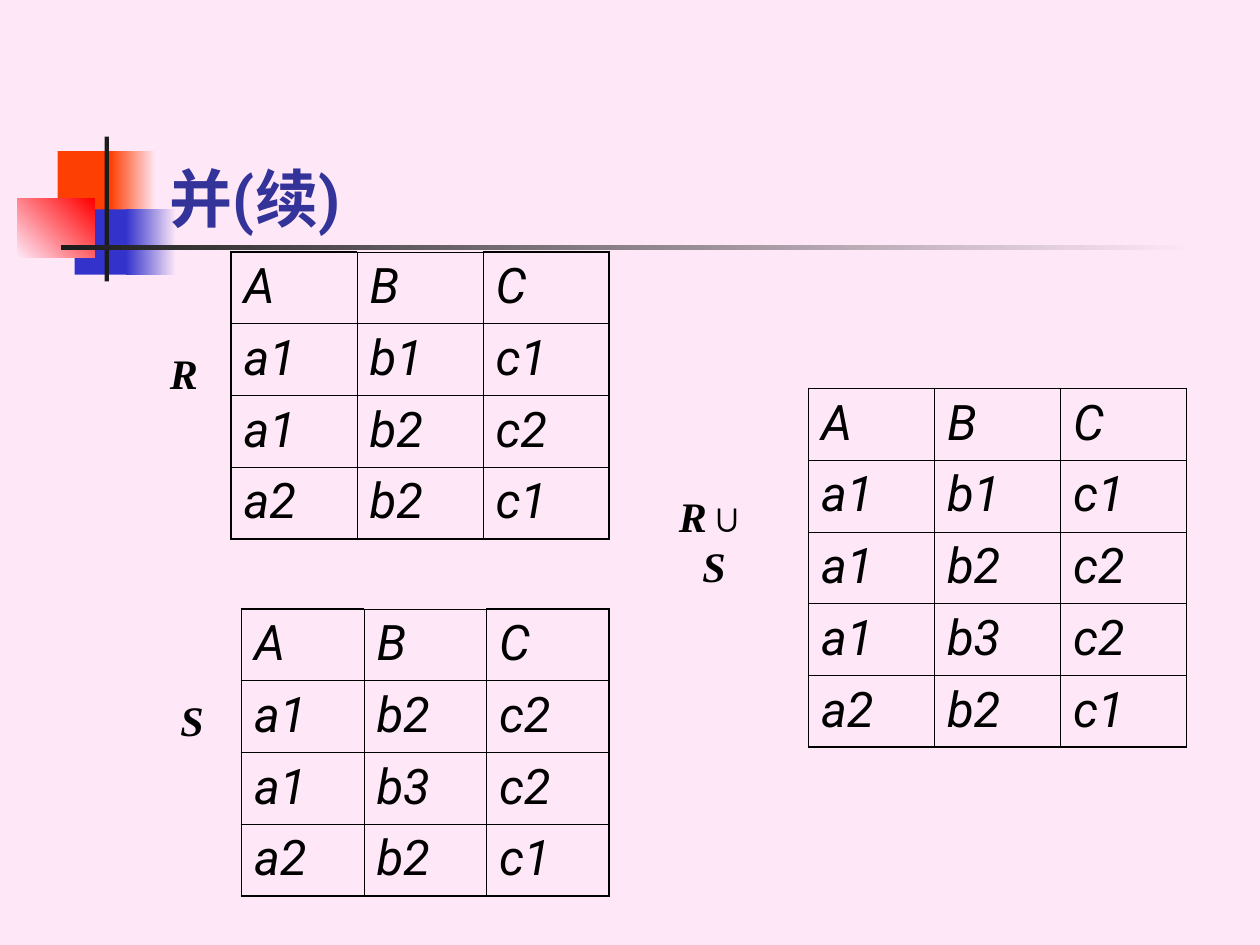
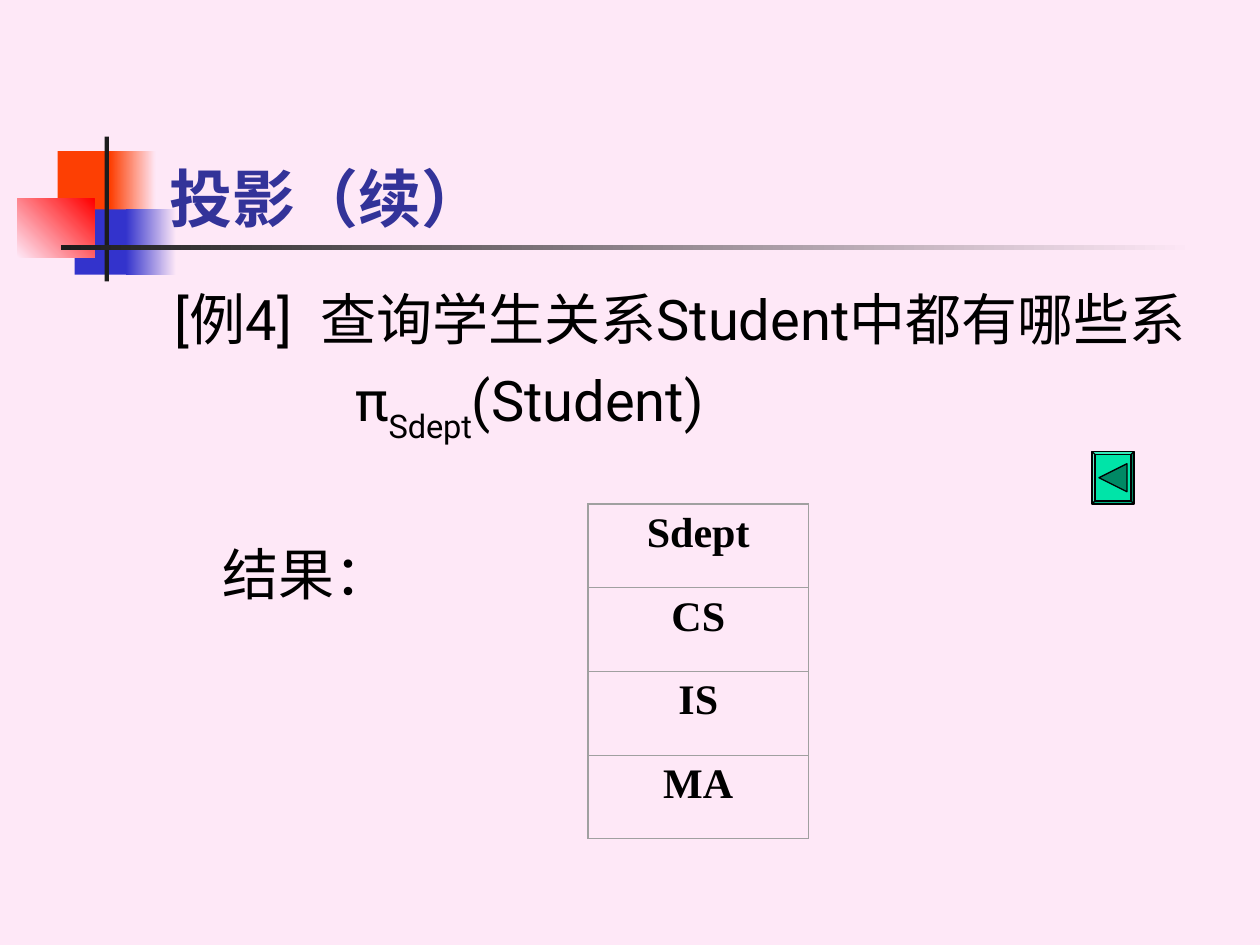
from lxml import etree
from pptx import Presentation
from pptx.dml.color import RGBColor
from pptx.enum.shapes import MSO_SHAPE
from pptx.enum.text import MSO_ANCHOR, PP_ALIGN
from pptx.oxml.ns import qn
from pptx.util import Pt

RECTANGLE = MSO_SHAPE.RECTANGLE
BEVEL = MSO_SHAPE.BEVEL
TOP, MIDDLE, BOTTOM = MSO_ANCHOR.TOP, MSO_ANCHOR.MIDDLE, MSO_ANCHOR.BOTTOM
LEFT, CENTER, JUSTIFY = PP_ALIGN.LEFT, PP_ALIGN.CENTER, PP_ALIGN.JUSTIFY

PINK = RGBColor(0xFE, 0xE8, 0xF7)
ORANGE = RGBColor(0xFD, 0x3F, 0x03)
BLUE = RGBColor(0x33, 0x33, 0xCC)
RED = RGBColor(0xFF, 0x00, 0x00)
CHARCOAL = RGBColor(0x1C, 0x1C, 0x1C)
NAVY = RGBColor(0x33, 0x33, 0x99)
BLACK = RGBColor(0x00, 0x00, 0x00)
GRAY = RGBColor(0xA0, 0xA0, 0xA0)
GREEN = RGBColor(0x00, 0xE4, 0xA8)
DARK_GREEN = RGBColor(0x00, 0x89, 0x65)

SANS, SERIF = "Roboto", "Times New Roman"


def add_box(slide, left, top, width, height, anchor=TOP, wrap=True):
    frame = slide.shapes.add_textbox(Pt(left), Pt(top), Pt(width), Pt(height)).text_frame
    frame.word_wrap = wrap
    frame.vertical_anchor = anchor
    return frame


def write_text(paragraph, text, size=32, font=SANS, color=BLACK, bold=False,
               italic=False, align=LEFT, baseline=0, spacing=0):
    paragraph.alignment = align
    run = paragraph.add_run()
    run.text = text
    run.font.size = Pt(size)
    run.font.name = font
    run.font.color.rgb = color
    run.font.bold = bold
    run.font.italic = italic
    if baseline:
        run.font._element.set("baseline", str(baseline * 1000))
    if spacing:
        run.font._element.set("spc", str(spacing * 100))


presentation = Presentation()
presentation.slide_width, presentation.slide_height = Pt(720), Pt(540)
presentation.slide_master.background.fill.solid()
presentation.slide_master.background.fill.fore_color.rgb = PINK

# Shared decoration: left, top, width, height, start colour, end colour, angle
DECORATION = [
    (33, 86.4, 34.8, 37.4, ORANGE, ORANGE, 0),
    (63, 86.4, 26, 37.4, ORANGE, PINK, 0),
    (42.6, 119.6, 33.2, 37.4, BLUE, BLUE, 0),
    (72, 119.6, 28.8, 37.4, BLUE, PINK, 0),
    (10, 113.6, 44, 33.4, PINK, RED, 45),
    (59.8, 78, 2.5, 82.8, CHARCOAL, CHARCOAL, 0),
    (34.8, 140.2, 648, 2.5, CHARCOAL, PINK, 0),
]
slides = []
for title in ("并(续)", "投影（续）"):
    slide = presentation.slides.add_slide(presentation.slide_layouts[6])
    slides.append(slide)
    for left, top, width, height, start, end, angle in DECORATION:
        shape = slide.shapes.add_shape(RECTANGLE, Pt(left), Pt(top), Pt(width), Pt(height))
        shape.shadow.inherit = False
        shape.line.fill.background()
        if start == end:
            shape.fill.solid()
            shape.fill.fore_color.rgb = start
        else:
            shape.fill.gradient()
            shape.fill.gradient_angle = angle
            for stop, color in zip(shape.fill.gradient_stops, (start, end)):
                stop.color.rgb = color
    title_frame = add_box(slide, 90, 48, 613.4, 90, BOTTOM)
    write_text(title_frame.paragraphs[0], title, size=36, color=NAVY, bold=True)
union_slide, projection_slide = slides

# Slide 1: relation names
RELATION_NAME = dict(size=24, font=SERIF, bold=True, align=CENTER)
for name, left, top, width in (("R", 90, 180, 24), ("S", 96, 378, 24), ("R∪S", 375, 276, 66)):
    name_frame = add_box(union_slide, left, top, width, 66, MIDDLE, wrap=False)
    for letter in name:
        write_text(name_frame.paragraphs[0], letter, italic=letter != "∪", **RELATION_NAME)

# Slide 2: example text, each paragraph with its left margin, first indent and space before
example_frame = add_box(projection_slide, 92.9, 159, 612, 324)
EXAMPLE = [
    (27, -27, 0, JUSTIFY, [("[例4]", {}), (" ", dict(spacing=8)),
                           ("查询学生关系Student中都有哪些系", {})]),
    (103, 0, 8, LEFT, [("π", {}), ("Sdept", dict(baseline=-30)), ("(Student)", {})]),
    (27, 0, 54, LEFT, [("结果：", {})]),
]
for index, (margin, indent, space, align, runs) in enumerate(EXAMPLE):
    paragraph = example_frame.add_paragraph() if index else example_frame.paragraphs[0]
    properties = paragraph._p.get_or_add_pPr()
    properties.set("marL", str(Pt(margin)))
    properties.set("indent", str(Pt(indent)))
    paragraph.space_before = Pt(space)
    for text, text_format in runs:
        write_text(paragraph, text, align=align, **text_format)

# Tables: slide, left, top, column width, row height, border colour, text format, rows
RELATION_CELL = dict(size=28, italic=True)
RESULT_CELL = dict(size=24, font=SERIF, bold=True, align=CENTER)
TABLES = [
    (union_slide, 132, 144, 72, 41, BLACK, RELATION_CELL,
     ["A B C", "a1 b1 c1", "a1 b2 c2", "a2 b2 c1"]),
    (union_slide, 462, 222, 72, 41, BLACK, RELATION_CELL,
     ["A B C", "a1 b1 c1", "a1 b2 c2", "a1 b3 c2", "a2 b2 c1"]),
    (union_slide, 138, 348, 70, 41, BLACK, RELATION_CELL,
     ["A B C", "a1 b2 c2", "a1 b3 c2", "a2 b2 c1"]),
    (projection_slide, 336, 288, 126, 47.8, GRAY, RESULT_CELL,
     ["Sdept", "CS", "IS", "MA"]),
]
for slide, left, top, column_width, row_height, border, cell_format, lines in TABLES:
    rows = [line.split() for line in lines]
    last_row, last_column = len(rows) - 1, len(rows[0]) - 1
    table = slide.shapes.add_table(
        len(rows), len(rows[0]), Pt(left), Pt(top),
        Pt(column_width * len(rows[0])), Pt(row_height * len(rows))).table
    table.first_row = table.horz_banding = False
    for column in table.columns:
        column.width = Pt(column_width)
    for row_index, values in enumerate(rows):
        table.rows[row_index].height = Pt(row_height)
        for column_index, value in enumerate(values):
            cell = table.cell(row_index, column_index)
            write_text(cell.text_frame.paragraphs[0], value, **cell_format)
            # Heavier outer edge; the middle header keeps a thin top
            heavy = {
                "a:lnL": column_index == 0,
                "a:lnR": column_index == last_column,
                "a:lnT": row_index == 0 and column_index in (0, last_column),
                "a:lnB": row_index == last_row,
            }
            cell_properties = cell._tc.get_or_add_tcPr()
            for tag, is_heavy in heavy.items():
                edge = etree.SubElement(cell_properties, qn(tag),
                                        w=str(Pt(1.08 if is_heavy else 0.45)))
                solid = etree.SubElement(edge, qn("a:solidFill"))
                etree.SubElement(solid, qn("a:srgbClr"), val=str(border))
            cell.fill.background()

# Slide 2: back button
button = projection_slide.shapes.add_shape(BEVEL, Pt(624), Pt(258), Pt(24), Pt(30))
button.adjustments[0] = 0.07
builder = projection_slide.shapes.build_freeform(Pt(628), Pt(273))
builder.add_line_segments([(Pt(644), Pt(265)), (Pt(644), Pt(281))])
arrow = builder.convert_to_shape()
for shape, color in ((button, GREEN), (arrow, DARK_GREEN)):
    shape.shadow.inherit = False
    shape.fill.solid()
    shape.fill.fore_color.rgb = color
    shape.line.color.rgb = BLACK
    shape.line.width = Pt(0.75)

presentation.save("out.pptx")
